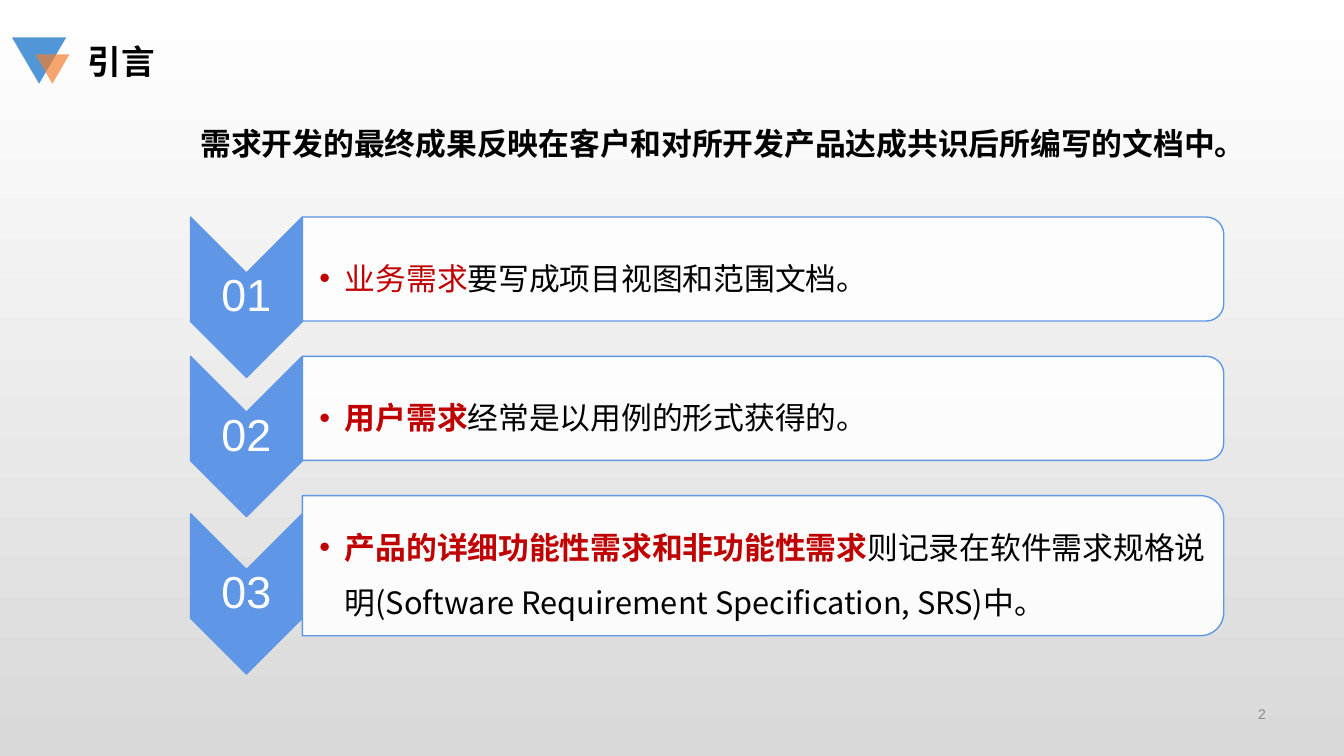
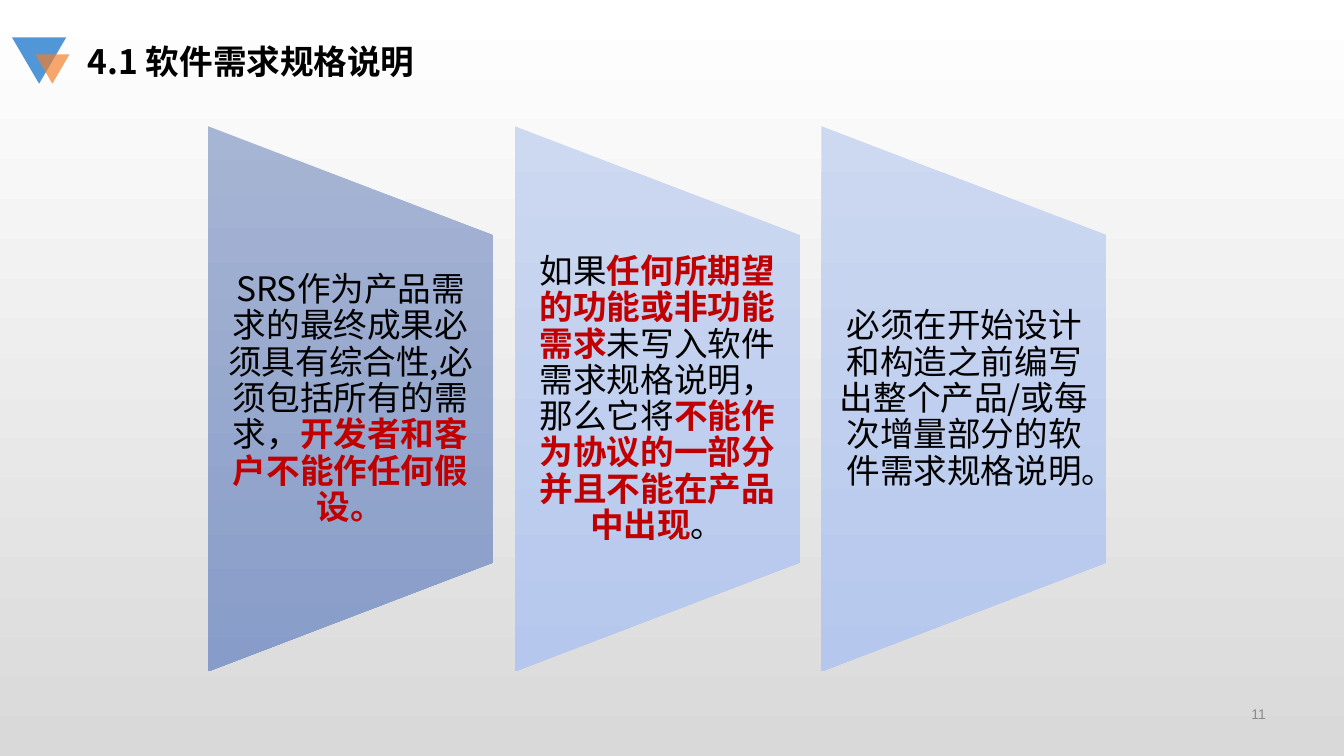
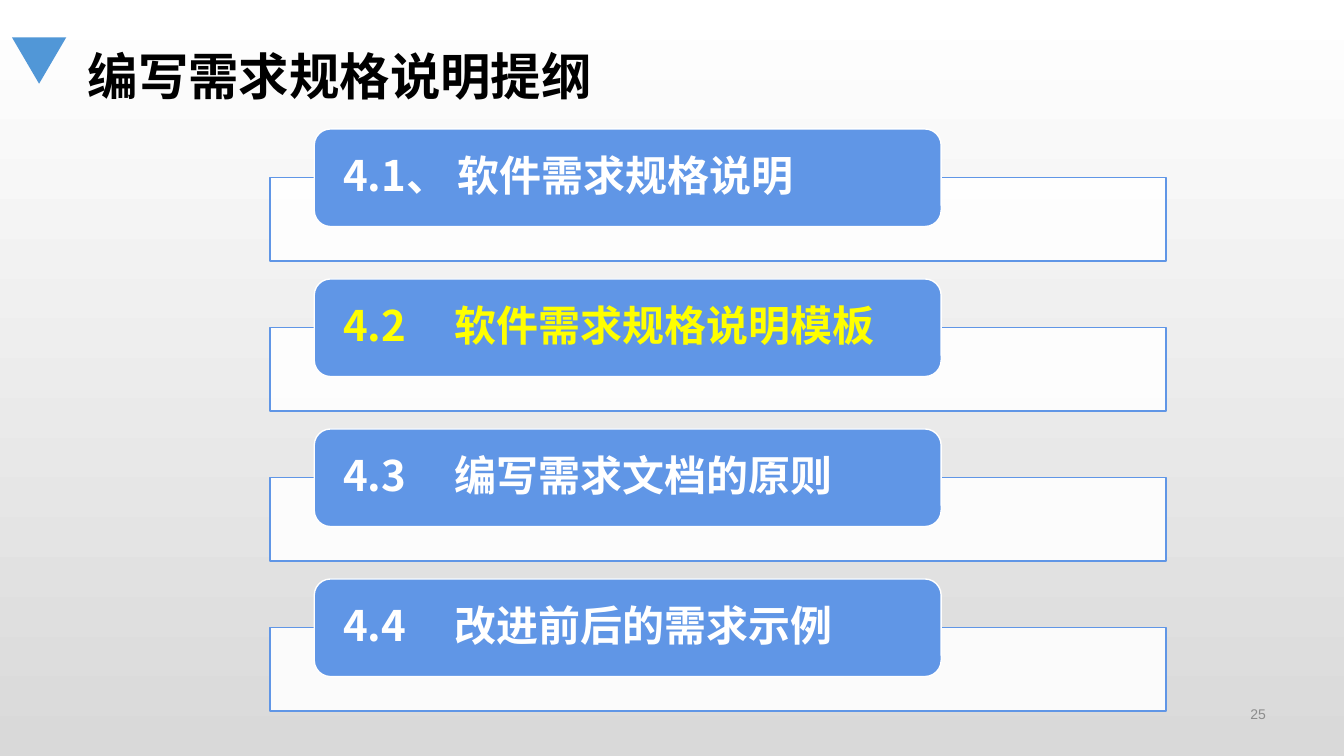
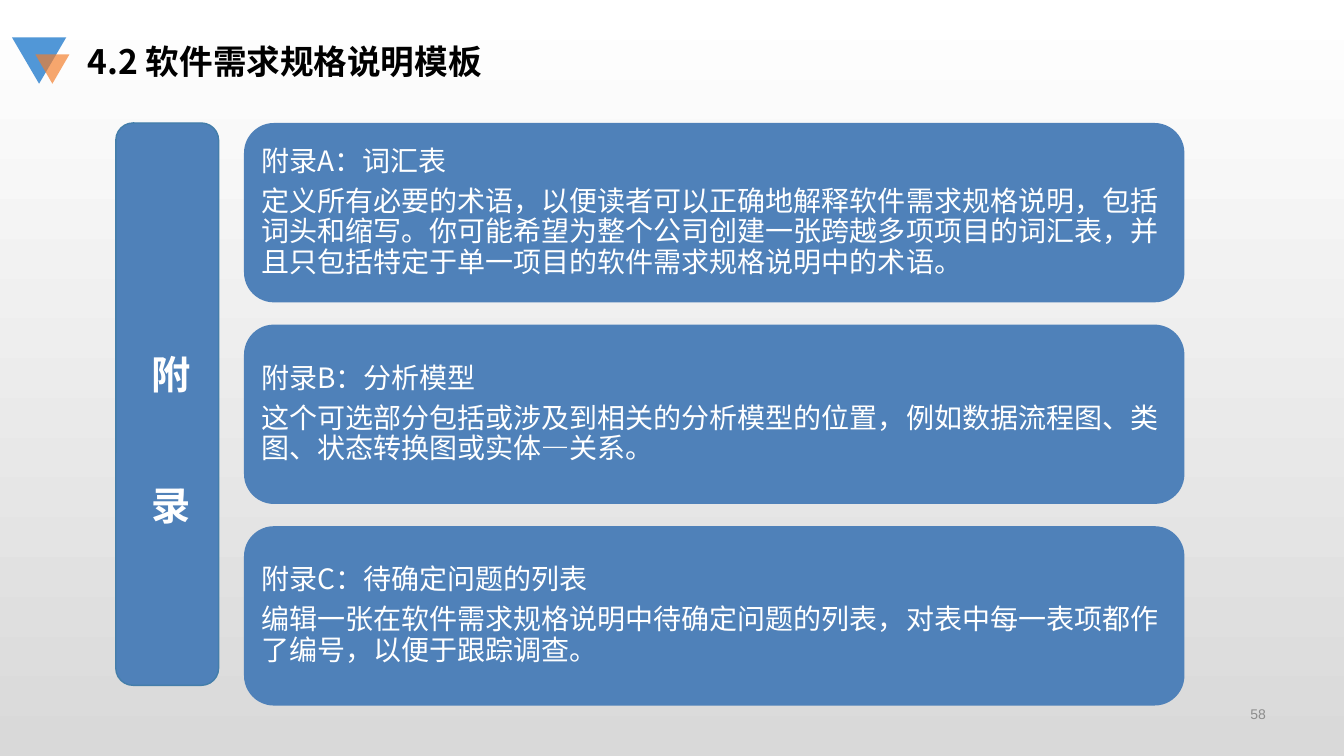
from lxml.etree import SubElement
from pptx import Presentation
from pptx.dml.color import RGBColor
from pptx.enum.shapes import MSO_SHAPE
from pptx.enum.text import MSO_ANCHOR, PP_ALIGN
from pptx.oxml.ns import qn
from pptx.util import Cm, Pt

CJK, LATIN = "Noto Sans CJK SC", "Arial"
BLACK, WHITE, GREY = "000000", "FFFFFF", "8C8C8C"
RED, YELLOW, ORANGE = "C00000", "FFFF00", "F37D2A"
BLUE, MARK_BLUE, DEEP_BLUE, EDGE_BLUE = "6096E6", "5197D7", "4F81B9", "447EAA"


def paint(fill, color, alpha=None):
    """Fill with a hex colour, a top-to-bottom pair of them, or nothing."""
    if color is None:
        fill.background()
    elif isinstance(color, tuple):
        fill.gradient()
        fill.gradient_angle = 270
        for stop, shade in zip(fill.gradient_stops, color):
            stop.color.rgb = RGBColor.from_string(shade)
    else:
        fill.solid()
        fill.fore_color.rgb = RGBColor.from_string(color)
        if alpha:
            clr = fill._xPr.find(qn("a:solidFill"))[0]
            SubElement(clr, qn("a:alpha"), val=str(alpha * 1000))


def add(slide, x, y, w, h, text=(), kind=None, fill=None, alpha=None, line=None,
        rot=0, size=24, color=BLACK, bold=False, font=CJK, align=PP_ALIGN.LEFT,
        anchor=MSO_ANCHOR.MIDDLE, inset=(0.25, 0.13), spacing=None, after=0,
        bullet=False, tab=None):
    """Place a shape or text box; x, y, w, h is its frame as seen, in cm.

    text is a list of paragraphs, each a list of (text, colour, bold) runs
    or a plain string.
    """
    if rot in (90, 270):
        x, y, w, h = x + (w - h) / 2, y + (h - w) / 2, h, w
    frame = Cm(x), Cm(y), Cm(w), Cm(h)
    if kind is None:
        s = slide.shapes.add_textbox(*frame)
    else:
        s = slide.shapes.add_shape(kind, *frame)
        s.shadow.inherit = False
        s.rotation = rot
        paint(s.fill, fill, alpha)
        if isinstance(fill, tuple):
            s._element.spPr.find(qn("a:gradFill")).set("rotWithShape", "0")
        paint(s.line.fill, line)
        if line:
            s.line.width = Pt(1)

    tf = s.text_frame
    tf.word_wrap = True
    tf.vertical_anchor = anchor
    tf.margin_left = tf.margin_right = Cm(inset[0])
    tf.margin_top = tf.margin_bottom = Cm(inset[1])
    for i, runs in enumerate(text):
        p = tf.add_paragraph() if i else tf.paragraphs[0]
        pPr = p._p.get_or_add_pPr()
        if bullet:
            pPr.set("marL", str(Cm(0.64)))
            pPr.set("indent", str(-Cm(0.64)))
            SubElement(pPr, qn("a:buFont"), typeface=LATIN)
            SubElement(pPr, qn("a:buChar"), char="•")
        if tab:
            tabs = SubElement(pPr, qn("a:tabLst"))
            SubElement(tabs, qn("a:tab"), pos=str(Cm(tab)), algn="l")
        p.alignment = align
        if spacing:
            p.line_spacing = spacing
        p.space_after = Pt(after)
        for words, shade, strong in [(runs, color, bold)] if isinstance(runs, str) else runs:
            r = p.add_run()
            r.text = words
            r.font.size = Pt(size)
            r.font.bold = strong
            r.font.name = font
            r.font.color.rgb = RGBColor.from_string(shade)
            SubElement(r._r.get_or_add_rPr(), qn("a:ea"), typeface=CJK)
    return s


prs = Presentation()
prs.slide_width, prs.slide_height = Cm(33.87), Cm(19.05)
paint(prs.slide_master.background.fill, (WHITE, "D9D9D9"))

# Shared parts: corner mark, title, page number
slides = []
for title, page, outline in [("引言", 2, False),
                             ("4.1 软件需求规格说明", 11, False),
                             ("编写需求规格说明提纲", 25, True),
                             ("4.2 软件需求规格说明模板", 58, False)]:
    slide = prs.slides.add_slide(prs.slide_layouts[6])
    add(slide, 0.3, 0.94, 1.37, 1.17, kind=MSO_SHAPE.ISOSCELES_TRIANGLE,
        fill=MARK_BLUE, rot=180)
    if not outline:
        add(slide, 0.89, 1.37, 0.86, 0.74, kind=MSO_SHAPE.ISOSCELES_TRIANGLE,
            fill=ORANGE, alpha=68, rot=180)
    add(slide, 1.96, 1.02 if outline else 0.89, 24.54, 1.8 if outline else 1.27,
        [title], size=36 if outline else 24, bold=True, anchor=MSO_ANCHOR.TOP)
    add(slide, 24.66, 17.55, 7.49, 0.89, [str(page)], size=10, color=GREY,
        font=LATIN, align=PP_ALIGN.RIGHT)
    slides.append(slide)
intro, srs, agenda, appendix = slides

# Introduction: numbered chevrons with bars
add(intro, 4.8, 2.54, 26.37, 1.45,
    ["需求开发的最终成果反映在客户和对所开发产品达成共识后所编写的文档中。"],
    size=22, bold=True, spacing=1.5, anchor=MSO_ANCHOR.TOP)
bar_h = 2.62
levels = [
    (bar_h, [("业务需求", RED, False), ("要写成项目视图和范围文档。", BLACK, False)]),
    (bar_h, [("用户需求", RED, True), ("经常是以用例的形式获得的。", BLACK, False)]),
    (3.53, [("产品的详细功能性需求和非功能性需求", RED, True),
            ("则记录在软件需求规格说明(Software Requirement Specification, SRS)中。",
             BLACK, False)]),
]
for i, (h, runs) in enumerate(levels):
    top = 5.47 + 3.51 * i
    chevron_top = top + (h - bar_h) / 2
    add(intro, 4.8, chevron_top, 2.82, 4.04, kind=MSO_SHAPE.CHEVRON, fill=BLUE,
        line=BLUE, rot=90)
    add(intro, 4.8, chevron_top + 1.41, 2.82, 1.22, [f"{i + 1:02}"], size=32,
        color=WHITE, font=LATIN, align=PP_ALIGN.CENTER, inset=(0.05, 0.05),
        spacing=0.9, after=11)
    add(intro, 7.62, top, 23.22, h, kind=MSO_SHAPE.ROUND_2_SAME_RECTANGLE,
        fill=WHITE, alpha=90, line=BLUE, rot=90)
    s = add(intro, 7.62, top + 0.13, 23.09, h - 0.26, [runs], size=22,
            inset=(0.43, 0.05), spacing=1.5, after=3, bullet=True)
    s.text_frame.margin_right = Cm(0.05)

# SRS: three tapered panels
panels = [
    (("A7B5D4", "879CC8"),
     [("SRS作为产品需求的最终成果必须具有综合性,必须包括所有的需求，", BLACK, False),
      ("开发者和客户不能作任何假设。", RED, True)]),
    (("CDD9F1", "B5C7ED"),
     [("如果", BLACK, False), ("任何所期望的功能或非功能需求", RED, True),
      ("未写入软件需求规格说明，那么它将", BLACK, False),
      ("不能作为协议的一部分并且不能在产品中出现", RED, True), ("。", BLACK, False)]),
    (("CDD9F1", "B5C7ED"),
     "必须在开始设计和构造之前编写出整个产品/或每次增量部分的软件需求规格说明。"),
]
for i, (shades, runs) in enumerate(panels):
    x = 5.24 + 7.73 * i
    add(srs, x, 3.18, 7.19, 13.74, kind=MSO_SHAPE.FLOWCHART_MANUAL_OPERATION,
        fill=shades, rot=270)
    add(srs, x, 5.94, 7.19, 8.26, [runs], align=PP_ALIGN.CENTER,
        inset=(0.43, 0), spacing=0.9, after=8)

# Outline: four sections, the current one in yellow
sections = ["4.1、 软件需求规格说明", "4.2\t软件需求规格说明模板",
            "4.3\t编写需求文档的原则", "4.4\t改进前后的需求示例"]
for i, section in enumerate(sections):
    top = 3.25 + 3.78 * i
    add(agenda, 6.81, top + 1.22, 22.58, 2.11, kind=MSO_SHAPE.RECTANGLE,
        fill=WHITE, alpha=90, line=BLUE)
    add(agenda, 7.92, top, 15.8, 2.46, [section], kind=MSO_SHAPE.ROUNDED_RECTANGLE,
        fill=BLUE, line=WHITE, size=30, bold=True, color=YELLOW if i == 1 else WHITE,
        inset=(0.61, 0), spacing=0.9, after=10, tab=2.8)

# Appendix: side label and three boxes
entries = [
    ["附录A：词汇表",
     "定义所有必要的术语，以便读者可以正确地解释软件需求规格说明，包括词头和缩写。"
     "你可能希望为整个公司创建一张跨越多项项目的词汇表，"
     "并且只包括特定于单一项目的软件需求规格说明中的术语。"],
    ["附录B：分析模型",
     "这个可选部分包括或涉及到相关的分析模型的位置，"
     "例如数据流程图、类图、状态转换图或实体—关系。"],
    ["附录C：待确定问题的列表",
     "编辑一张在软件需求规格说明中待确定问题的列表，"
     "对表中每一表项都作了编号，以便于跟踪调查。"],
]
for i, entry in enumerate(entries):
    add(appendix, 6.15, 3.1 + 5.08 * i, 23.7, 4.52, entry,
        kind=MSO_SHAPE.ROUNDED_RECTANGLE, fill=DEEP_BLUE, size=20, color=WHITE,
        inset=(0.21, 0.21), spacing=0.9, after=7)
add(appendix, 2.92, 3.1, 2.59, 14.17, kind=MSO_SHAPE.ROUNDED_RECTANGLE,
    fill=DEEP_BLUE, line=EDGE_BLUE)
add(appendix, 3.56, 8.69, 1.27, 3.84, ["附", "录"], size=28, color=WHITE, bold=True,
    font=LATIN, anchor=MSO_ANCHOR.TOP, after=60)

prs.save("out.pptx")
